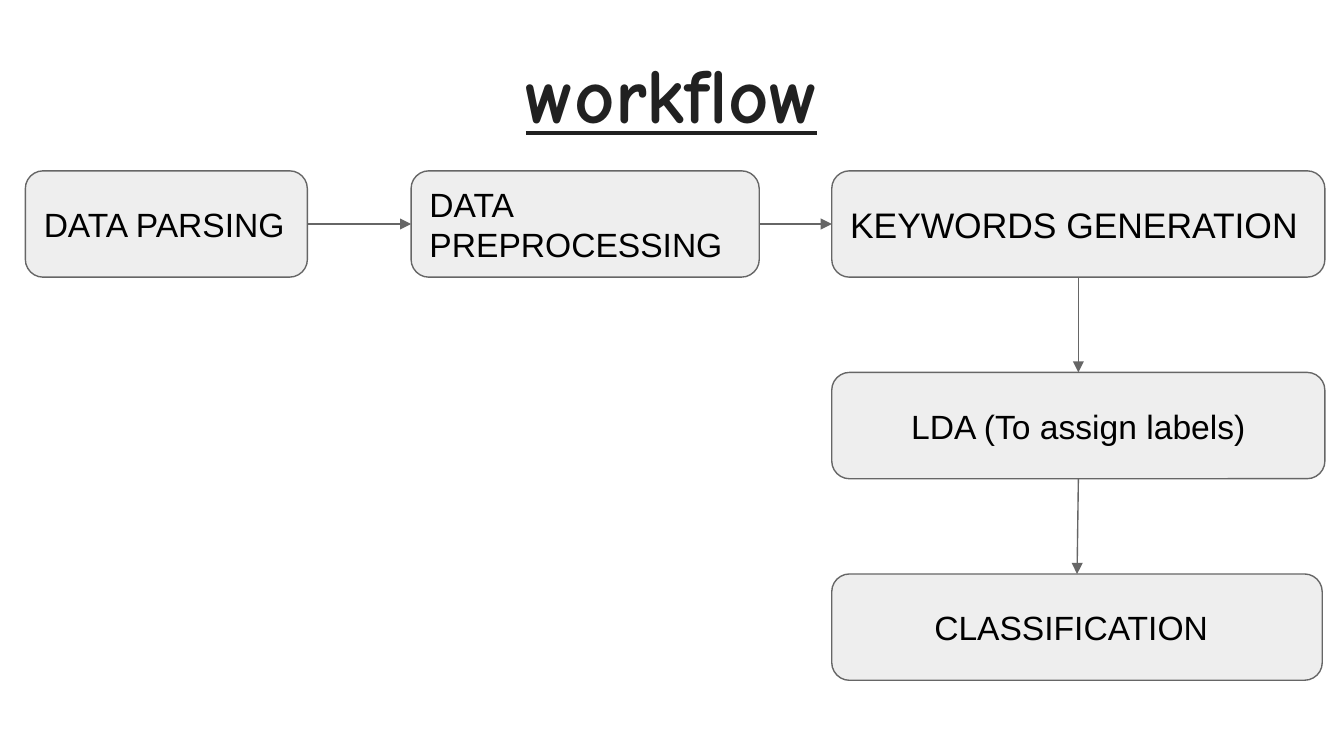
from dataclasses import dataclass

from lxml import etree
from pptx import Presentation
from pptx import util as u
from pptx.dml.color import RGBColor
from pptx.enum import shapes, text
from pptx.oxml.ns import qn


@dataclass(frozen=True)
class Theme:
    """Colours, fonts and type sizes of the slide."""
    title_color: RGBColor = RGBColor(0x21, 0x21, 0x21)
    text_color: RGBColor = RGBColor(0, 0, 0)
    fill: RGBColor = RGBColor(0xEE, 0xEE, 0xEE)
    line: RGBColor = RGBColor(0x66, 0x66, 0x66)
    title_font: str = "Comic Neue"
    body_font: str = "Arial"
    title_size: int = 42
    step_size: int = 18
    keyword_size: int = 19
    line_width: float = 0.75


THEME = Theme()
BOTTOM, RIGHT, TOP, LEFT = 2, 3, 0, 1


def set_text(sp, words, font, size, color, align, indent=0):
    """Write one middle-anchored paragraph in a shape."""
    tf = sp.text_frame
    tf.word_wrap = True
    tf.vertical_anchor = text.MSO_ANCHOR.MIDDLE
    tf.margin_left = u.Cm(0.25 + indent)
    tf.margin_right = tf.margin_top = tf.margin_bottom = u.Cm(0.25)
    p = tf.paragraphs[0]
    p.text = words
    p.alignment = align
    p.font.name = font
    p.font.size = u.Pt(size)
    p.font.color.rgb = color
    return p


def add_title(s, words, left, top, width, height):
    """Place the underlined heading in the given box."""
    sp = s.shapes.add_textbox(u.Cm(left), u.Cm(top), u.Cm(width), u.Cm(height))
    p = set_text(sp, words, THEME.title_font, THEME.title_size,
                 THEME.title_color, text.PP_ALIGN.CENTER)
    p.font.bold = True
    p.font.underline = True


def add_step(s, words, left, top, width, height,
             size=THEME.step_size, align=text.PP_ALIGN.LEFT, indent=0):
    """Place one rounded workflow step in the given box."""
    sp = s.shapes.add_shape(shapes.MSO_SHAPE.ROUNDED_RECTANGLE,
                            u.Cm(left), u.Cm(top), u.Cm(width), u.Cm(height))
    sp.shadow.inherit = False
    sp.fill.solid()
    sp.fill.fore_color.rgb = THEME.fill
    sp.line.color.rgb = THEME.line
    sp.line.width = u.Pt(THEME.line_width)
    set_text(sp, words, THEME.body_font, size, THEME.text_color, align, indent)
    return sp


def add_arrow(s, start, start_side, end, end_side):
    """Join two steps with an arrow."""
    arrow = s.shapes.add_connector(shapes.MSO_CONNECTOR.STRAIGHT, 0, 0, 0, 0)
    arrow.begin_connect(start, start_side)
    arrow.end_connect(end, end_side)
    arrow.line.color.rgb = THEME.line
    arrow.line.width = u.Pt(THEME.line_width)
    etree.SubElement(arrow.line._get_or_add_ln(), qn("a:tailEnd"), type="triangle")
    etree.SubElement(arrow._element.spPr, qn("a:effectLst"))


def add_workflow(s, left, top, width):
    """Place a row of three steps and a column below the last one."""
    height, pitch, last_width = 2.01, 3.81, 9.32
    last_left = left + width - last_width
    parsing = add_step(s, "DATA PARSING", left, top, 5.33, height)
    cleaning = add_step(s, "DATA PREPROCESSING", left + 7.29, top, 6.58, height)
    keywords = add_step(s, "KEYWORDS GENERATION", last_left, top, last_width, height,
                        size=THEME.keyword_size)
    labels = add_step(s, "LDA (To assign labels)", last_left, top + pitch,
                      last_width, height, align=text.PP_ALIGN.CENTER)
    classes = add_step(s, "CLASSIFICATION", last_left, top + 2 * pitch,
                       last_width - 0.05, height, indent=1.59)
    for start, end in ((parsing, cleaning), (cleaning, keywords)):
        add_arrow(s, start, RIGHT, end, LEFT)
    for start, end in ((keywords, labels), (labels, classes)):
        add_arrow(s, start, BOTTOM, end, TOP)


def main():
    """Build and save the workflow slide."""
    prs = Presentation()
    prs.slide_width, prs.slide_height = u.Cm(25.4), u.Cm(14.29)
    s = prs.slides.add_slide(prs.slide_layouts[6])
    add_title(s, "workflow", 0.86, 0.46, 23.67, 2.57)
    add_workflow(s, 0.48, 3.23, 24.56)
    prs.save("out.pptx")


if __name__ == "__main__":
    main()
